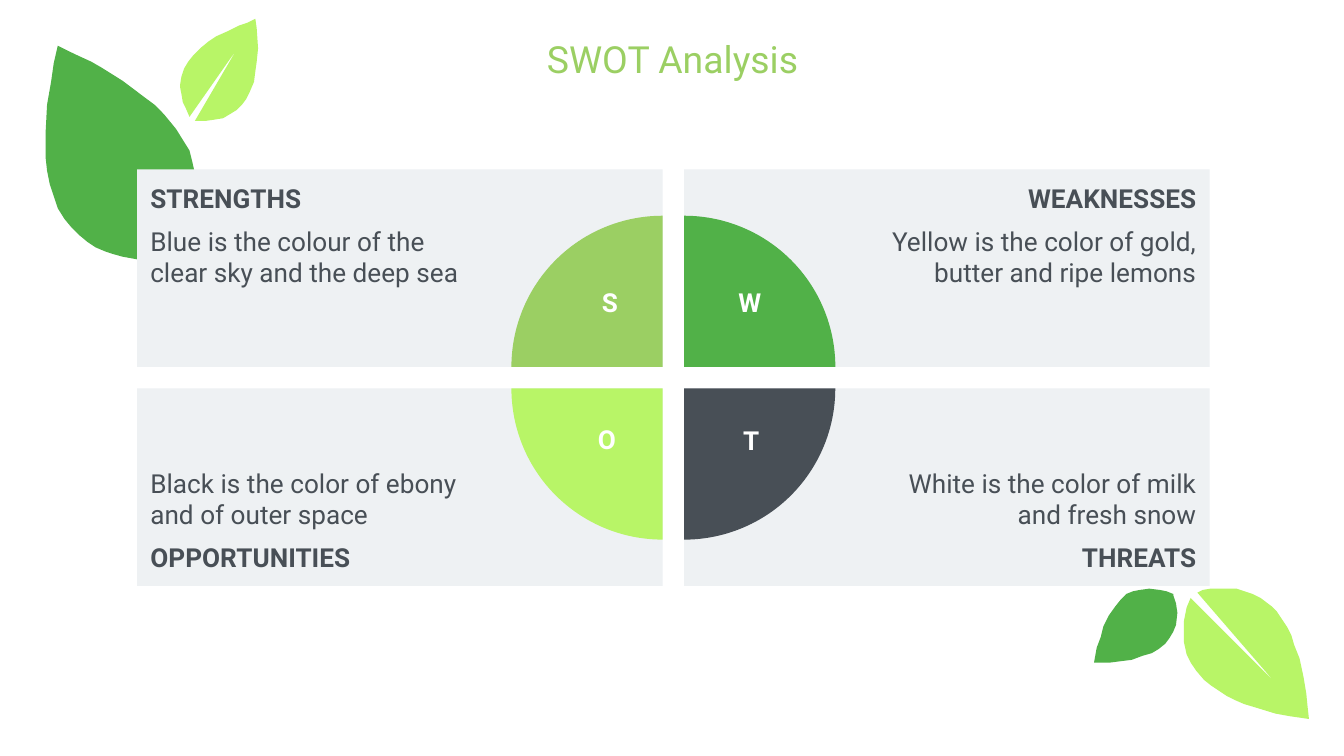
from dataclasses import dataclass

from pptx import Presentation
from pptx.dml.color import RGBColor
from pptx.enum.shapes import MSO_SHAPE
from pptx.enum.text import MSO_ANCHOR, PP_ALIGN
from pptx.util import Inches, Pt


@dataclass(frozen=True)
class Theme:
    font: str = "Roboto"
    title_size: int = 20
    text_size: int = 14
    sage: str = "9BCF63"
    green: str = "51B148"
    lime: str = "B8F567"
    slate: str = "484F56"
    panel: str = "EEF1F3"
    white: str = "FFFFFF"


THEME = Theme()

PANEL_WIDTH, PANEL_HEIGHT = 3.91, 1.47
PANEL_LEFT, PANEL_TOP = 1.02, 1.26
GAP = 0.16
PIE_SIZE = 2.25

# Leaf outlines: (x, y) points in hundredths of an inch on the slide
LARGE_TOP_LEAF = [
    (122, 194), (127, 187), (133, 178), (138, 168), (143, 155), (145, 144),
    (145, 129), (143, 120), (141, 112), (136, 104), (131, 96), (122, 85),
    (115, 78), (107, 72), (99, 66), (91, 60), (83, 55), (75, 50), (68, 46),
    (55, 40), (43, 34), (40, 47), (38, 61), (35, 78), (34, 97), (34, 118),
    (35, 127), (37, 137), (40, 146), (43, 155), (48, 163), (53, 169),
    (59, 175), (65, 180), (71, 184), (78, 187), (84, 189), (91, 191),
    (102, 193), (112, 194),
]
SMALL_TOP_LEAF = [
    (134, 65), (135, 70), (136, 76), (138, 80), (141, 87), (176, 37),
    (145, 90), (153, 90), (160, 89), (166, 88), (171, 85), (176, 82),
    (180, 78), (183, 74), (186, 68), (189, 61), (190, 53), (191, 46),
    (192, 36), (191, 21), (190, 14), (184, 17), (178, 19), (170, 23),
    (161, 27), (155, 31), (149, 36), (144, 41), (140, 46), (137, 51),
    (135, 57), (134, 63),
]
LARGE_BOTTOM_LEAF = [
    (954, 461), (950, 455), (946, 451), (942, 448), (938, 445), (932, 442),
    (926, 440), (920, 438), (912, 438), (901, 438), (895, 439), (891, 441),
    (948, 507), (886, 445), (883, 452), (881, 462), (881, 478), (883, 487),
    (886, 493), (890, 499), (896, 506), (901, 510), (907, 514), (913, 518),
    (919, 521), (926, 524), (936, 527), (949, 531), (960, 533), (974, 535),
    (973, 526), (972, 516), (970, 504), (967, 490), (963, 480), (961, 473),
    (958, 467),
]
SMALL_BOTTOM_LEAF = [
    (873, 442), (868, 440), (863, 439), (855, 438), (848, 439), (843, 440),
    (838, 442), (834, 446), (830, 451), (825, 458), (821, 466), (819, 474),
    (816, 482), (814, 493), (826, 493), (834, 492), (842, 491), (850, 488),
    (857, 486), (862, 483), (867, 479), (870, 475), (873, 470), (875, 465),
    (876, 456), (875, 449), (873, 443),
]


def paint(shape, color):
    """Give the shape a flat fill with no line or shadow."""
    shape.shadow.inherit = False
    shape.fill.solid()
    shape.fill.fore_color.rgb = RGBColor.from_string(color)
    shape.line.fill.background()


def style_paragraph(paragraph, size, color, bold=False, alignment=PP_ALIGN.LEFT):
    paragraph.alignment = alignment
    for run in paragraph.runs:
        run.font.name = THEME.font
        run.font.size = Pt(size)
        run.font.bold = bold
        run.font.color.rgb = RGBColor.from_string(color)


def add_leaf(slide, points, color):
    builder = slide.shapes.build_freeform(*points[0], scale=Inches(0.01))
    builder.add_line_segments(points[1:], close=True)
    paint(builder.convert_to_shape(), color)


def add_panel(slide, column, row, heading, body):
    """Add a quadrant whose text keeps to its outer corner."""
    panel = slide.shapes.add_shape(
        MSO_SHAPE.RECTANGLE,
        Inches(PANEL_LEFT + column * (PANEL_WIDTH + GAP)),
        Inches(PANEL_TOP + row * (PANEL_HEIGHT + GAP)),
        Inches(PANEL_WIDTH), Inches(PANEL_HEIGHT),
    )
    paint(panel, THEME.panel)
    text_frame = panel.text_frame
    text_frame.word_wrap = True
    text_frame.vertical_anchor = MSO_ANCHOR.BOTTOM if row else MSO_ANCHOR.TOP
    text_frame.margin_left = Inches(1.5 if column else 0.1)
    text_frame.margin_right = Inches(0.1 if column else 1.5)
    text_frame.margin_top = text_frame.margin_bottom = Inches(0.1)

    text_frame.text = "\n".join([body, heading] if row else [heading, body])
    for paragraph in text_frame.paragraphs:
        style_paragraph(paragraph, THEME.text_size, THEME.slate,
                        bold=paragraph.text == heading,
                        alignment=PP_ALIGN.RIGHT if column else PP_ALIGN.LEFT)
    last_paragraph = text_frame.paragraphs[-1]
    last_paragraph.space_before = last_paragraph.space_after = Pt(6)


def add_quarter(slide, column, row, rotation, color):
    """Add a quarter disc in the inner corner of a quadrant."""
    center_x = PANEL_LEFT + PANEL_WIDTH + column * GAP
    center_y = PANEL_TOP + PANEL_HEIGHT + row * GAP
    quarter = slide.shapes.add_shape(
        MSO_SHAPE.PIE,
        Inches(center_x - PIE_SIZE / 2), Inches(center_y - PIE_SIZE / 2),
        Inches(PIE_SIZE), Inches(PIE_SIZE),
    )
    quarter.adjustments[0] = 108
    quarter.adjustments[1] = 162
    quarter.rotation = rotation
    paint(quarter, color)


def add_label(slide, text, left, top, width, height, size, color, bold=False,
              anchor=MSO_ANCHOR.TOP):
    box = slide.shapes.add_textbox(
        Inches(left), Inches(top), Inches(width), Inches(height))
    text_frame = box.text_frame
    text_frame.word_wrap = True
    text_frame.vertical_anchor = anchor
    text_frame.text = text
    style_paragraph(text_frame.paragraphs[0], size, color, bold, PP_ALIGN.CENTER)
    return box


def main():
    presentation = Presentation()
    presentation.slide_width = Inches(10)
    presentation.slide_height = Inches(10) * 9 // 16
    slide = presentation.slides.add_slide(presentation.slide_layouts[6])

    add_leaf(slide, LARGE_BOTTOM_LEAF, THEME.lime)
    add_leaf(slide, SMALL_BOTTOM_LEAF, THEME.green)
    add_leaf(slide, SMALL_TOP_LEAF, THEME.lime)
    add_leaf(slide, LARGE_TOP_LEAF, THEME.green)

    for column, row, heading, body in [
        (0, 0, "STRENGTHS", "Blue is the colour of the clear sky and the deep sea"),
        (1, 0, "WEAKNESSES", "Yellow is the color of gold, butter and ripe lemons"),
        (0, 1, "OPPORTUNITIES", "Black is the color of ebony and of outer space"),
        (1, 1, "THREATS", "White is the color of milk and fresh snow"),
    ]:
        add_panel(slide, column, row, heading, body)

    add_quarter(slide, 0, 0, 0, THEME.sage)
    add_quarter(slide, 1, 0, 90, THEME.green)
    add_quarter(slide, 1, 1, 180, THEME.slate)
    add_quarter(slide, 0, 1, 270, THEME.lime)

    for letter, left, top, width in [
        ("S", 4.38, 2.08, 0.27),
        ("W", 5.33, 2.08, 0.5),
        ("O", 4.35, 3.1, 0.27),
        ("T", 5.43, 3.11, 0.29),
    ]:
        add_label(slide, letter, left, top, width, 0.42,
                  THEME.text_size, THEME.white, bold=True)

    title = add_label(slide, "SWOT Analysis", 0.94, 0.27, 8.13, 0.43,
                      THEME.title_size, THEME.sage, anchor=MSO_ANCHOR.BOTTOM)
    title.text_frame.margin_top = title.text_frame.margin_bottom = Inches(0.1)

    presentation.save("out.pptx")


if __name__ == "__main__":
    main()
